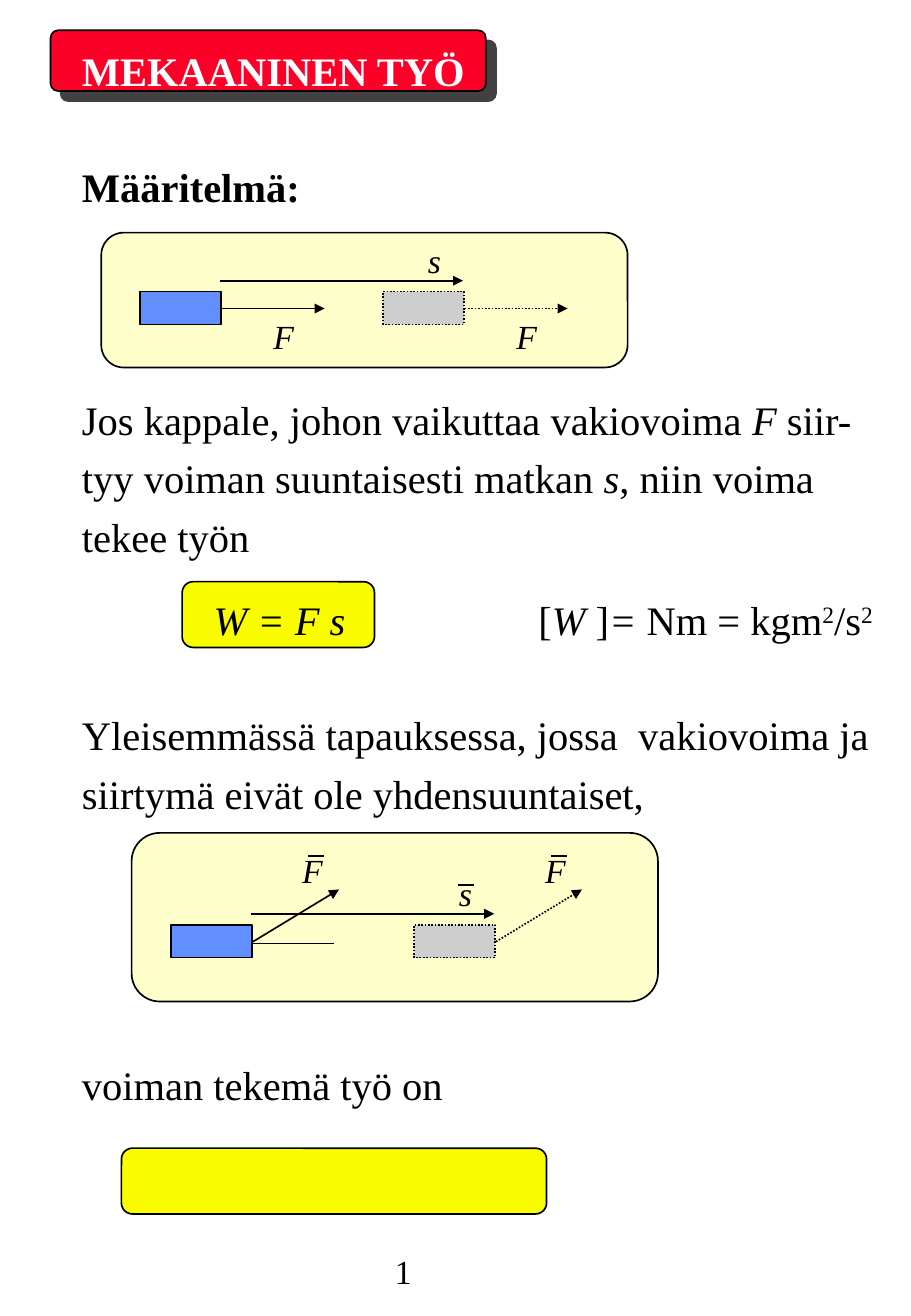
from lxml.etree import SubElement
from pptx import Presentation
from pptx.dml.color import RGBColor
from pptx.enum.dml import MSO_LINE_DASH_STYLE as Dash
from pptx.enum.shapes import MSO_CONNECTOR as Connector, MSO_SHAPE as Shape
from pptx.oxml.ns import qn
from pptx.util import Pt

BLACK = RGBColor(0x00, 0x00, 0x00)
WHITE = RGBColor(0xFF, 0xFF, 0xFF)
RED = RGBColor(0xFC, 0x01, 0x28)
YELLOW = RGBColor(0xFA, 0xFD, 0x00)
CREAM = RGBColor(0xFF, 0xFF, 0xCC)
BLUE = RGBColor(0x61, 0x8F, 0xFD)
GREY = RGBColor(0xCE, 0xCE, 0xCE)
SHADOW = RGBColor(0x41, 0x41, 0x41)

ITALIC, SUPER = "italic", "superscript"
STEP = 144           # displacement of the body
BODY = (48, 19.5)    # width and height of the body


class WorkSlide:
    """Holds the style and the slide being drawn."""

    font_name = "Times New Roman"
    body_size = 24
    label_size = 20
    line_width = 1

    def __init__(self, slide):
        self.slide = slide

    def text(self, paragraphs, left, top, width=490, height=40, size=body_size,
             color=BLACK, bold=False, spacing=1.2):
        """Each paragraph is a list of runs: a string or a (string, style) pair."""
        frame = self.slide.shapes.add_textbox(
            Pt(left), Pt(top), Pt(width), Pt(height)).text_frame
        frame.word_wrap = True
        for index, runs in enumerate(paragraphs):
            paragraph = frame.add_paragraph() if index else frame.paragraphs[0]
            paragraph.line_spacing = spacing
            for part in runs:
                content, style = (part, None) if isinstance(part, str) else part
                run = paragraph.add_run()
                run.text = content
                run.font.name = self.font_name
                run.font.size = Pt(size)
                run.font.bold = bold
                run.font.italic = style == ITALIC
                run.font.color.rgb = color
                if style == SUPER:
                    run.font._element.set("baseline", "30000")

    def label(self, letter, left, top):
        self.text([[(letter, ITALIC)]], left, top, width=30, height=32,
                  size=self.label_size, spacing=1)

    def outline(self, line, dotted):
        line.color.rgb = BLACK
        line.width = Pt(self.line_width)
        if dotted:
            line.dash_style = Dash.ROUND_DOT

    def box(self, left, top, width, height, fill, corner=None, dotted=False):
        kind = Shape.RECTANGLE if corner is None else Shape.ROUNDED_RECTANGLE
        shape = self.slide.shapes.add_shape(
            kind, Pt(left), Pt(top), Pt(width), Pt(height))
        if corner is not None:
            shape.adjustments[0] = corner
        shape.shadow.inherit = False
        shape.fill.solid()
        shape.fill.fore_color.rgb = fill
        self.outline(shape.line, dotted)
        return shape

    def drop_shadow(self, shape, distance):
        effects = shape._element.spPr.find(qn("a:effectLst"))
        shadow = SubElement(effects, qn("a:outerShdw"), dist=str(Pt(distance)),
                            dir="2700000", algn="ctr", rotWithShape="0")
        SubElement(shadow, qn("a:srgbClr"), val=str(SHADOW))

    def line(self, start, end, arrow=False, dotted=False):
        connector = self.slide.shapes.add_connector(
            Connector.STRAIGHT, *(Pt(value) for value in (*start, *end)))
        self.outline(connector.line, dotted)
        if arrow:
            SubElement(connector.line._get_or_add_ln(), qn("a:tailEnd"),
                       type="triangle")
        SubElement(connector._element.spPr, qn("a:effectLst"))

    def motion_figure(self, panel, body, force, force_label, vectors=False):
        """Body before and after the shift; offsets count from its corner."""
        x, y = body
        self.box(*panel, CREAM, corner=0.167)
        self.line((x + 47.5, y - 6.5), (x + 47.5 + STEP, y - 6.5), arrow=True)
        self.label("s", x + 163.5, y - 34.5)
        for shift, fill, moved in ((0, BLUE, False), (STEP, GREY, True)):
            left = x + shift
            self.box(left, y, *BODY, fill, dotted=moved)
            self.line((left + 48.5, y + 10), (left + force[0], y + force[1]),
                      arrow=True, dotted=moved)
            label_x, label_y = left + force_label[0], y + force_label[1]
            self.label("F", label_x, label_y)
            if vectors:
                self.line((label_x + 10.5, label_y + 7), (label_x + 20, label_y + 7))
        if vectors:
            self.line((x + 170, y - 23.5), (x + 179.5, y - 23.5))
            self.line((x + 48, y + 11), (x + 96.5, y + 11))


def main():
    presentation = Presentation()
    presentation.slide_width = Pt(540)
    presentation.slide_height = Pt(780.48)
    slide = presentation.slides.add_slide(presentation.slide_layouts[6])
    page = WorkSlide(slide)
    margin = 41.5

    # Title
    title = page.box(30, 18, 258, 36, RED, corner=0.125)
    page.drop_shadow(title, 8.5)
    page.text([["MEKAANINEN TYÖ"]], margin, 18, color=WHITE, bold=True)

    # Definition with force along the path
    page.text([["Määritelmä:"]], margin, 87, bold=True)
    page.motion_figure((60, 138, 312, 80), (83, 173), (109.5, 10), (72, 10.5))
    page.text([
        ["Jos kappale, johon vaikuttaa vakiovoima ", ("F ", ITALIC), "siir-"],
        ["tyy voiman suuntaisesti matkan ", ("s", ITALIC), ", niin voima"],
        ["tekee työn"],
    ], margin, 225, height=112)

    # Formula and unit
    page.box(108, 345, 114, 39, YELLOW, corner=0.167)
    page.text([[("W = F s", ITALIC)]], 119.5, 343.5, width=110)
    page.text([["[", ("W ", ITALIC), "]", ("= ", ITALIC), "Nm = kgm",
                ("2", SUPER), "/s", ("2", SUPER)]], 312, 343.5, width=225)

    # General case with force at an angle
    page.text([["Yleisemmässä tapauksessa, jossa  vakiovoima ja"],
               ["siirtymä eivät ole yhdensuuntaiset,"]], margin, 412, height=78)
    page.motion_figure((78, 494, 312, 100), (101.5, 548.5), (99.5, -21),
                       (70.5, -48), vectors=True)
    page.text([["voiman tekemä työ on"]], margin, 619.5)
    page.box(72, 681, 252, 39, YELLOW, corner=0.167)

    # Page number
    page.text([["1"]], 227, 738.5, width=98, height=31,
              size=page.label_size, spacing=1)

    presentation.save("out.pptx")


if __name__ == "__main__":
    main()
